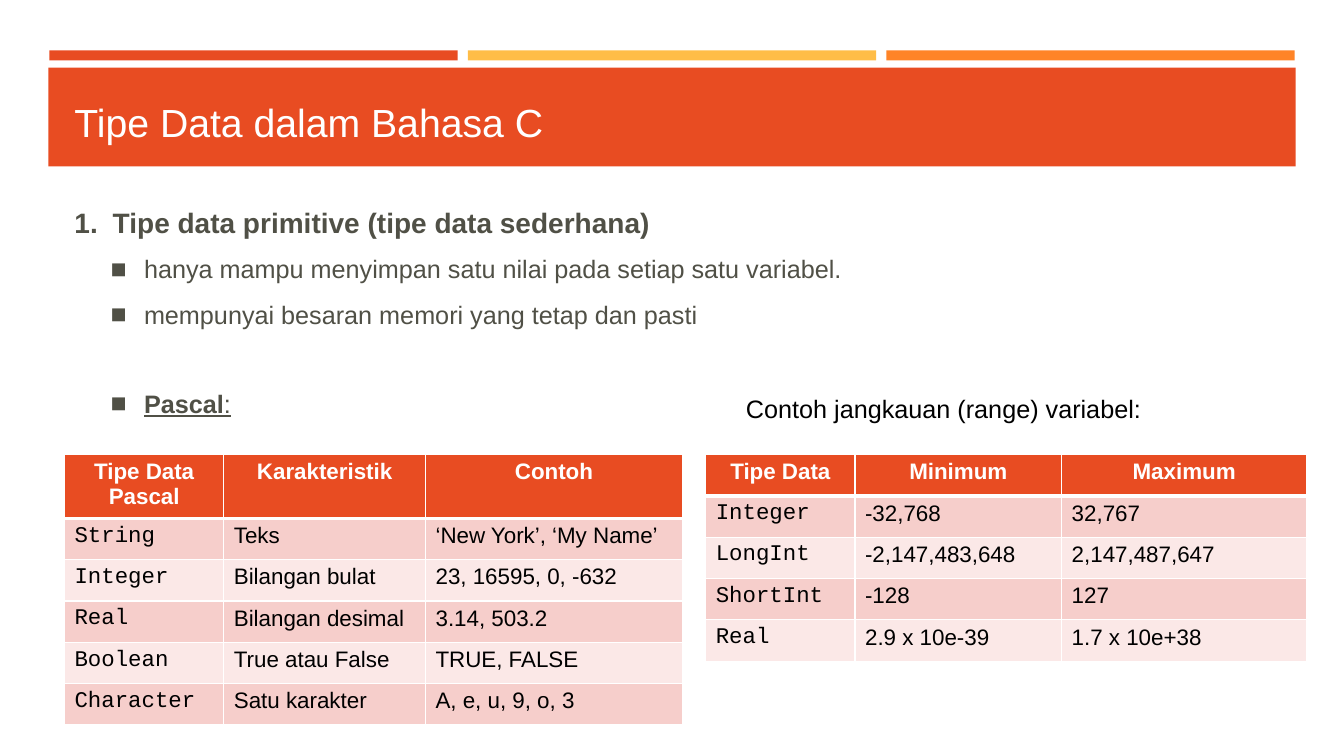
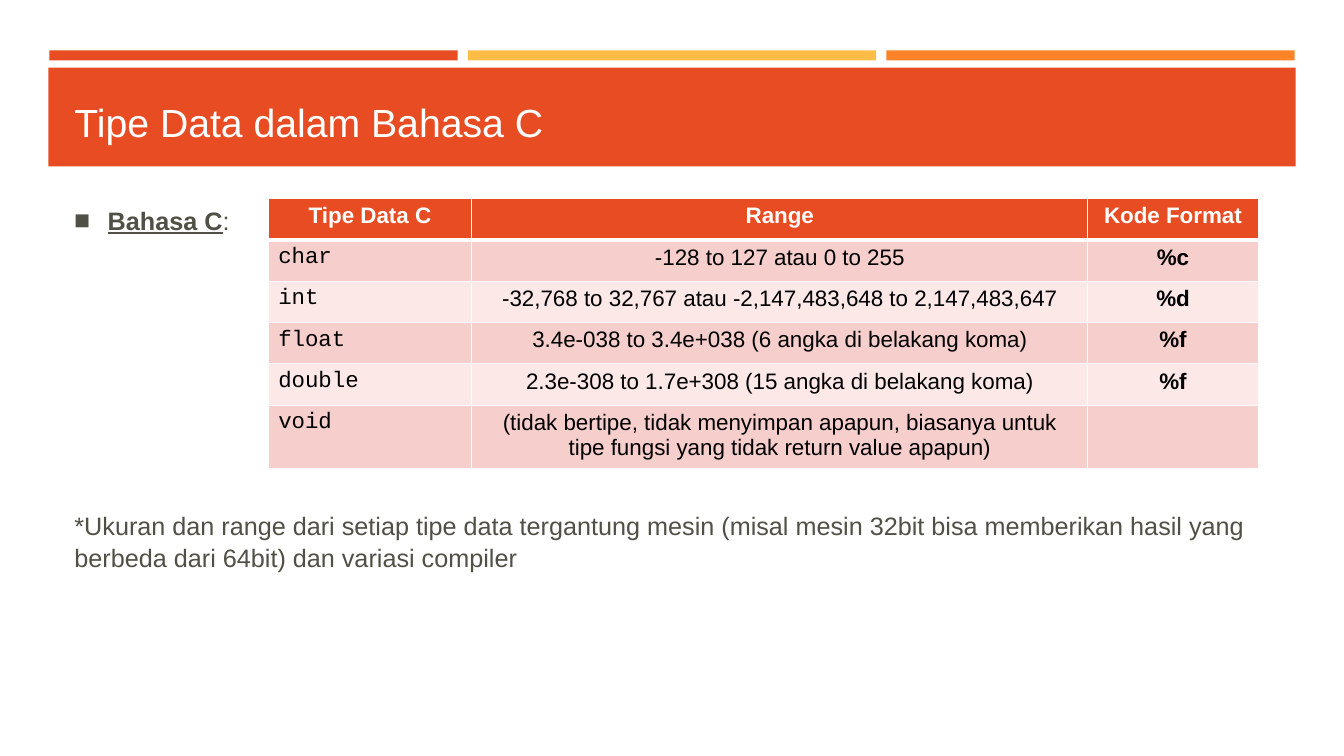
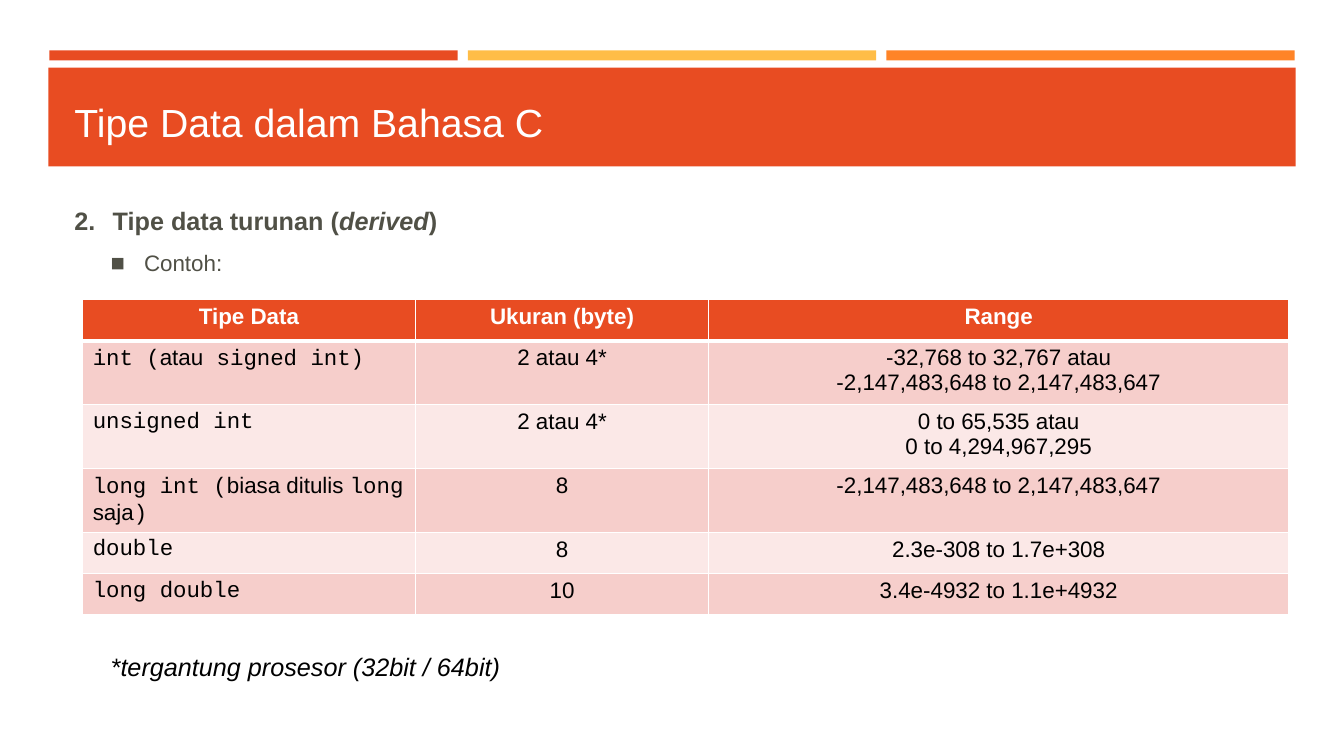
from pptx import Presentation
from pptx.dml.color import RGBColor
from pptx.enum.shapes import MSO_SHAPE
from pptx.enum.text import MSO_ANCHOR, PP_ALIGN
from pptx.oxml.ns import qn
from pptx.util import Inches, Pt
from lxml.etree import SubElement

COLORS = {
    "red": "E84C22", "yellow": "FFBD47", "orange": "FF8427",
    "text": "505046", "black": "000000", "white": "FFFFFF",
    "row_dark": "F6CECB", "row_light": "FBE8E7",
}
TITLE = "Tipe Data dalam Bahasa C"
ROW_HEIGHT = 0.41


def write(tf, text, size=16, color="black", align=PP_ALIGN.LEFT, before=0,
          spacing=1.0, left=0, hang=0, bullet=None, number=None, **style):
    """Add a paragraph; text is a string or a list of (text, font changes)."""
    p = tf.paragraphs[0] if not tf.paragraphs[0].runs else tf.add_paragraph()
    p.alignment, p.line_spacing, p.space_before = align, spacing, Pt(before)
    pPr = p._p.get_or_add_pPr()
    pPr.set("marL", str(Inches(left)))
    pPr.set("indent", str(Inches(-hang)))
    if bullet:
        SubElement(pPr, qn("a:buFont"), typeface="Arial")
        SubElement(pPr, qn("a:buChar"), char=bullet)
    elif number:
        SubElement(pPr, qn("a:buAutoNum"), type="arabicPeriod", startAt=str(number))
    for part, changes in [(text, {})] if isinstance(text, str) else text:
        r = p.add_run()
        r.text = part
        r.font.size = Pt(size)
        r.font.color.rgb = RGBColor.from_string(COLORS[color])
        for key, value in ({"name": "Arial"} | style | changes).items():
            setattr(r.font, key, value)


# Text formats
BODY = dict(size=18, color="text", spacing=1.05)
HEADING = BODY | dict(bold=True, left=0.38, hang=0.38)
ITEM = BODY | dict(bullet="◼", left=0.69, hang=0.33, before=9.6)
SANS, MONO = dict(name="Arial"), dict(name="Courier New")
CENTER = dict(align=PP_ALIGN.CENTER)

# Slide content: boxes are (left, top, width, height, paragraphs),
# tables are (left, top, column widths, column formats, rows)
SLIDES = [
    {
        "boxes": [
            (0.64, 1.97, 12.06, 2.3, [
                ("Tipe data primitive (tipe data sederhana)",
                 HEADING | dict(size=20, number=1)),
                ("hanya mampu menyimpan satu nilai pada setiap satu variabel.", ITEM),
                ("mempunyai besaran memori yang tetap dan pasti", ITEM),
                ([("Pascal", dict(bold=True)), (":", {})],
                 ITEM | dict(underline=True, before=41)),
            ]),
            (7.3, 3.85, 4.3, 0.4, [("Contoh jangkauan (range) variabel:", dict(size=18))]),
        ],
        "tables": [
            (0.64, 4.51, [1.58, 2, 2.55], [MONO, SANS, SANS], [
                ["Tipe Data Pascal", "Karakteristik", "Contoh"],
                ["String", "Teks", "‘New York’, ‘My Name’"],
                ["Integer", "Bilangan bulat", "23, 16595, 0, -632"],
                ["Real", "Bilangan desimal", "3.14, 503.2"],
                ["Boolean", "True atau False", "TRUE, FALSE"],
                ["Character", "Satu karakter", "A, e, u, 9, o, 3"],
            ]),
            (7, 4.51, [1.48, 2.05, 2.43], [MONO, SANS, SANS], [
                ["Tipe Data", "Minimum", "Maximum"],
                ["Integer", "-32,768", "32,767"],
                ["LongInt", "-2,147,483,648", "2,147,487,647"],
                ["ShortInt", "-128", "127"],
                ["Real", "2.9 x 10e-39", "1.7 x 10e+38"],
            ]),
        ],
    },
    {
        "boxes": [
            (0.64, 1.97, 2, 0.45, [
                ([("Bahasa C", dict(bold=True, underline=True)), (":", {})],
                 BODY | dict(bullet="◼", left=0.33, hang=0.33)),
            ]),
            (0.64, 5, 12.06, 0.8, [
                ("*Ukuran dan range dari setiap tipe data tergantung mesin (misal mesin "
                 "32bit bisa memberikan hasil yang berbeda dari 64bit) dan variasi compiler",
                 BODY),
            ]),
        ],
        "tables": [
            (2.66, 1.97, [2.02, 6.11, 1.69], [MONO, CENTER, CENTER | dict(bold=True)], [
                ["Tipe Data C", "Range", "Kode Format"],
                ["char", "-128 to 127 atau 0 to 255", "%c"],
                ["int", "-32,768 to 32,767 atau -2,147,483,648 to 2,147,483,647", "%d"],
                ["float", "3.4e-038 to 3.4e+038 (6 angka di belakang koma)", "%f"],
                ["double", "2.3e-308 to 1.7e+308 (15 angka di belakang koma)", "%f"],
                ["void", "(tidak bertipe, tidak menyimpan apapun, biasanya untuk tipe "
                 "fungsi yang tidak return value apapun)", ""],
            ]),
        ],
    },
    {
        "boxes": [
            (0.64, 1.97, 12.06, 0.9, [
                ([("Tipe data turunan (", {}), ("derived", dict(italic=True)), (")", {})],
                 HEADING | dict(number=2)),
                ("Contoh:", ITEM | dict(size=16, before=9.2)),
            ]),
            (1, 6.41, 4.1, 0.4, [
                ("*tergantung prosesor (32bit / 64bit)", dict(size=18, italic=True)),
            ]),
        ],
        "tables": [
            (0.82, 2.97, [3.3, 2.91, 5.75], [MONO, CENTER, CENTER], [
                ["Tipe Data", "Ukuran (byte)", "Range"],
                [[("int (", {}), ("atau", SANS), (" signed int)", {})], "2 atau 4*",
                 "-32,768 to 32,767 atau\n-2,147,483,648 to 2,147,483,647"],
                ["unsigned int", "2 atau 4*", "0 to 65,535 atau\n0 to 4,294,967,295"],
                [[("long int (", {}), ("biasa ditulis ", SANS), ("long ", {}),
                  ("saja", SANS), (")", {})], "8", "-2,147,483,648 to 2,147,483,647"],
                ["double", "8", "2.3e-308 to 1.7e+308"],
                ["long double", "10", "3.4e-4932 to 1.1e+4932"],
            ]),
        ],
    },
]

# Bands shared by every slide: left, top, width, height, colour
BANDS = [(0.49 + i * 4.15, 0.5, 4.05, 0.1, color)
         for i, color in enumerate(["red", "yellow", "orange"])]
BANDS.append((0.48, 0.67, 12.37, 0.98, "red"))

prs = Presentation()
prs.slide_width, prs.slide_height = Inches(13.33), Inches(7.5)

for content in SLIDES:
    s = prs.slides.add_slide(prs.slide_layouts[6])

    # Bands
    for *at, color in BANDS:
        sp = s.shapes.add_shape(MSO_SHAPE.RECTANGLE, *map(Inches, at))
        sp.shadow.inherit = False
        sp.fill.solid()
        sp.fill.fore_color.rgb = RGBColor.from_string(COLORS[color])
        sp.line.fill.background()

    # Title and text boxes
    title = (0.64, 0.77, 12.06, 0.88, [(TITLE, dict(size=28, color="white"))])
    for i, (*at, paragraphs) in enumerate([title] + content["boxes"]):
        tf = s.shapes.add_textbox(*map(Inches, at)).text_frame
        tf.word_wrap = True
        tf.vertical_anchor = MSO_ANCHOR.MIDDLE if i == 0 else MSO_ANCHOR.TOP
        for text, fmt in paragraphs:
            write(tf, text, **fmt)

    # Tables
    for left, top, widths, formats, rows in content["tables"]:
        size = map(Inches, (left, top, sum(widths), ROW_HEIGHT * len(rows)))
        table = s.shapes.add_table(len(rows), len(widths), *size).table
        for column, width in zip(table.columns, widths):
            column.width = Inches(width)
        for i, row in enumerate(rows):
            table.rows[i].height = Inches(ROW_HEIGHT)
            fill = "red" if i == 0 else "row_dark" if i % 2 else "row_light"
            for j, text in enumerate(row):
                cell = table.cell(i, j)
                # White borders, heavier under the header
                tcPr = cell._tc.get_or_add_tcPr()
                for side in "LRTB":
                    heavy = (i, side) in [(0, "B"), (1, "T")]
                    ln = SubElement(tcPr, qn(f"a:ln{side}"), w=str(Pt(3 if heavy else 1)))
                    SubElement(SubElement(ln, qn("a:solidFill")), qn("a:srgbClr"),
                               val=COLORS["white"])
                cell.fill.solid()
                cell.fill.fore_color.rgb = RGBColor.from_string(COLORS[fill])
                fmt = {"bold": False} | formats[j]
                if i == 0:
                    fmt = CENTER | dict(color="white", bold=True)
                for line in text.split("\n") if isinstance(text, str) else [text]:
                    write(cell.text_frame, line, **fmt)

prs.save("out.pptx")
